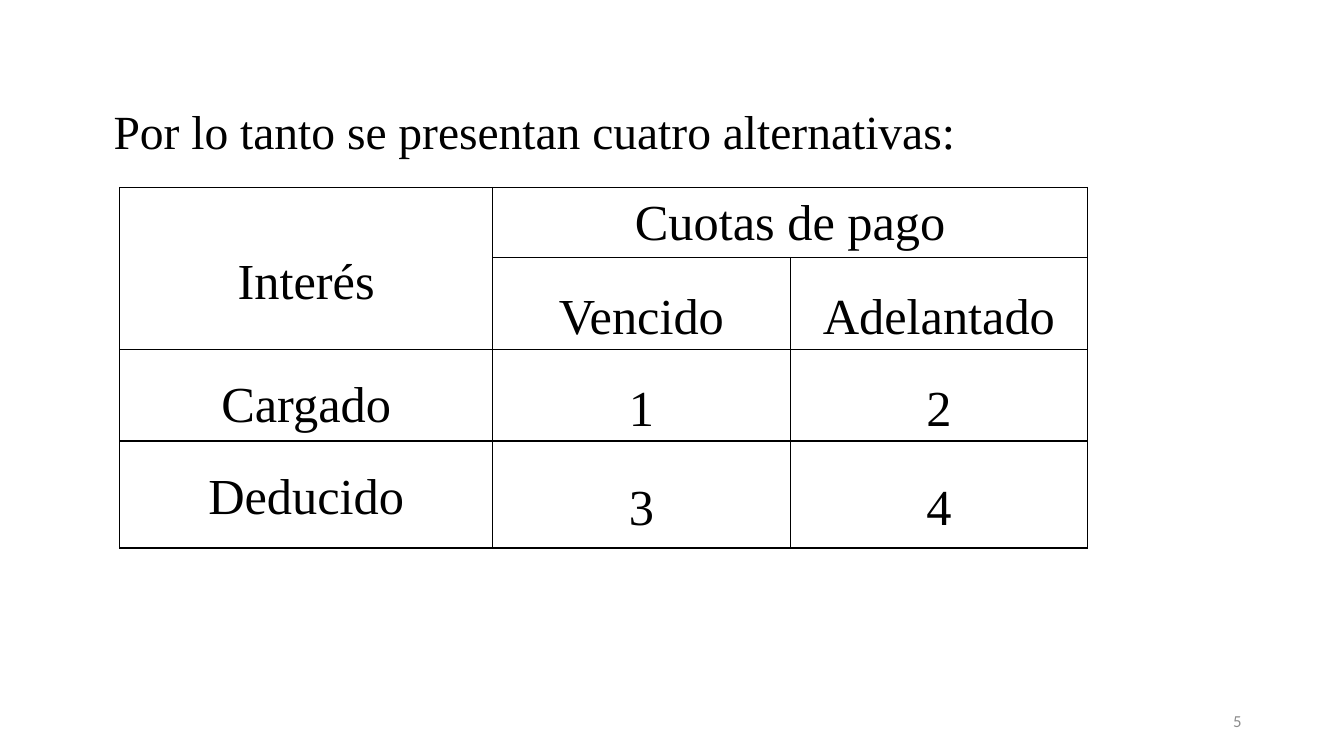
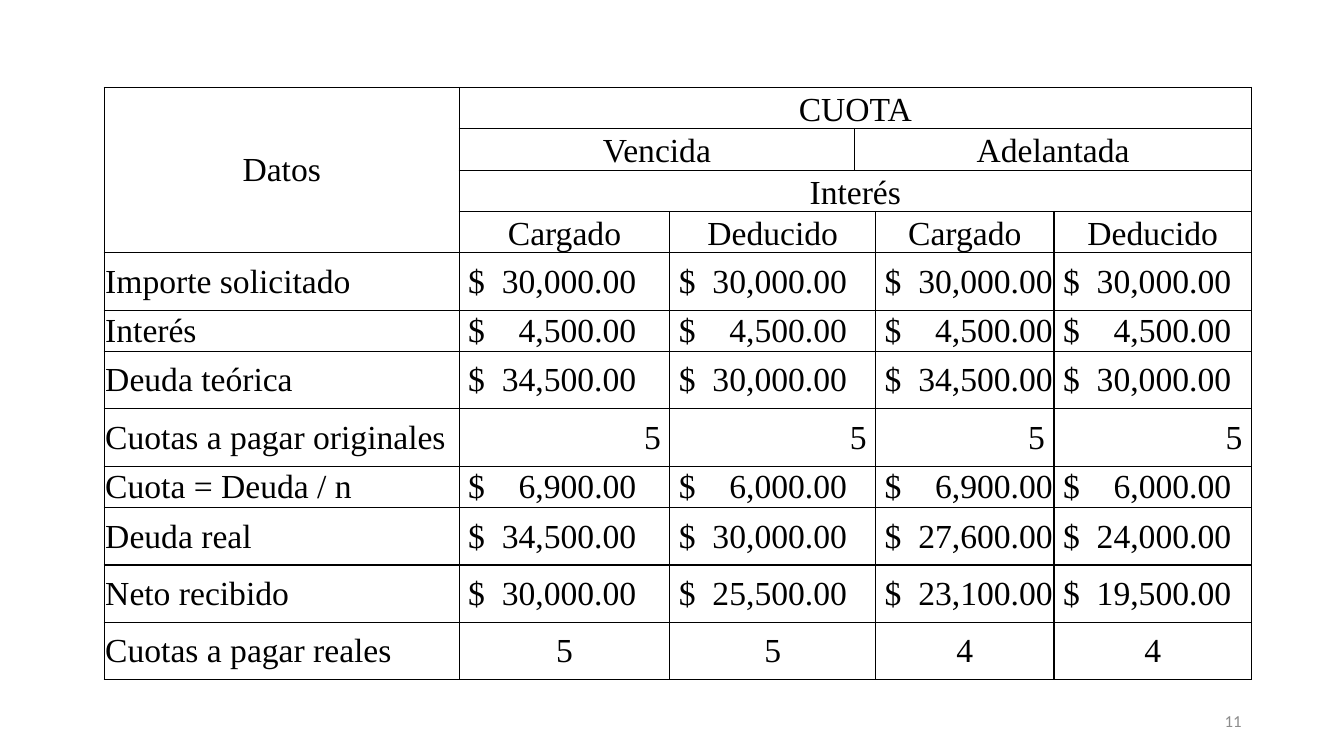
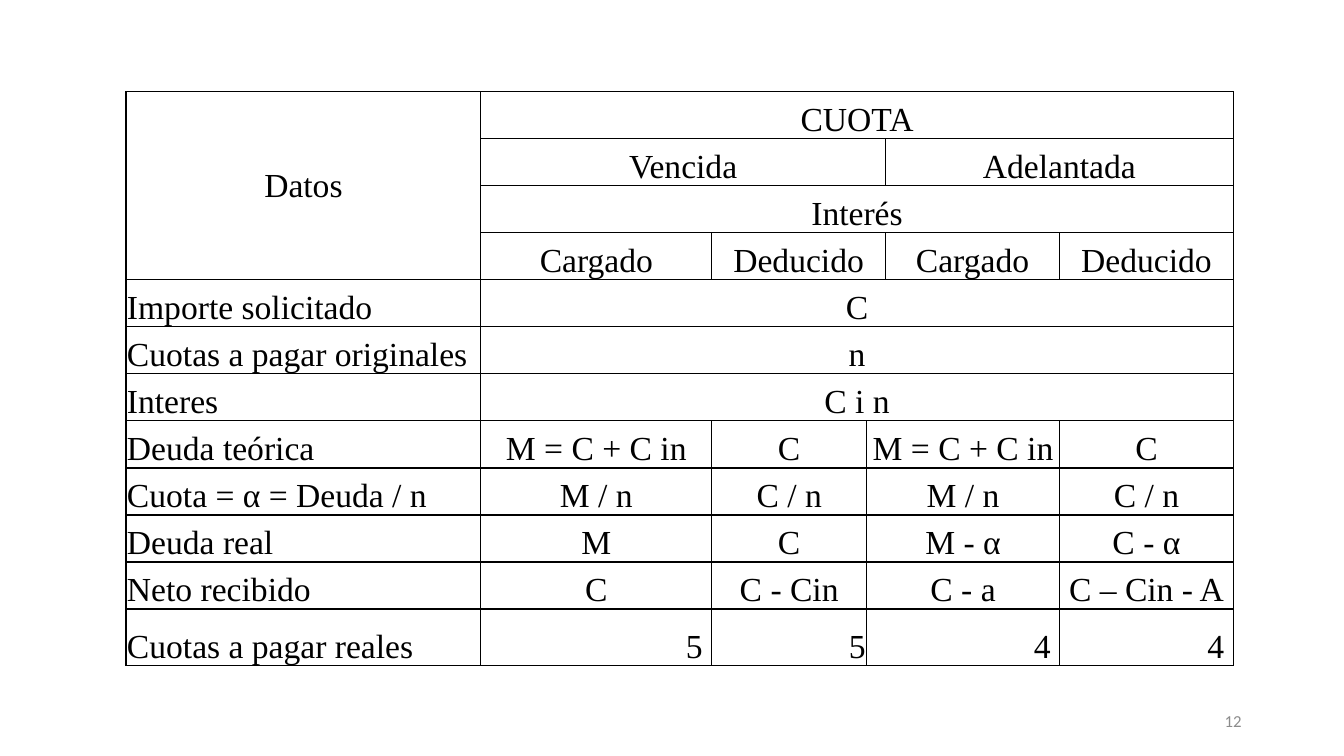
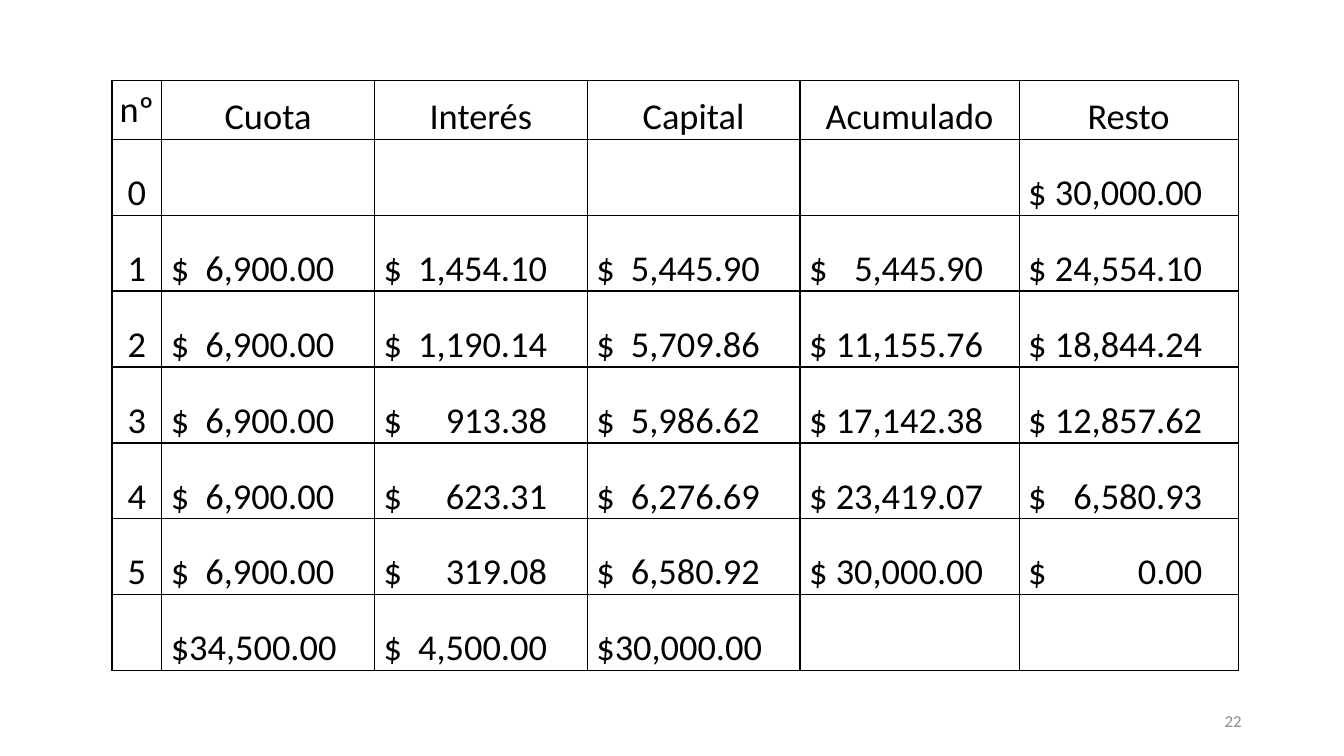
from dataclasses import dataclass

from lxml.etree import SubElement
from pptx import Presentation
from pptx.dml.color import RGBColor
from pptx.enum.text import MSO_ANCHOR as Anchor, PP_ALIGN as Align
from pptx.oxml.ns import qn
from pptx.util import Pt

SERIF, SANS = "Times New Roman", "Calibri"
BLACK, GREY = "000000", "8C8C8C"
LEFT, ABOVE = "<", "^"  # cell joined to the one on its left, or above it
THIN, SPACE = 0.7, 6.5  # cell insets


@dataclass
class CellStyle:
    align: Align = Align.CENTER
    anchor: Anchor = Anchor.BOTTOM
    spacing: float = 1.0
    inset_left: float = THIN
    inset_right: float = THIN
    tab: float = 0


def color(hex_string):
    return RGBColor.from_string(hex_string)


def format_paragraph(paragraph, size, font_name, hex_color, align, spacing=1.0):
    paragraph.alignment = align
    paragraph.line_spacing = spacing
    paragraph.font.size = Pt(size)
    paragraph.font.name = font_name
    paragraph.font.color.rgb = color(hex_color)


def add_text(slide, text, box, size, font_name, hex_color=BLACK,
             align=Align.LEFT, anchor=Anchor.TOP, spacing=1.0):
    shape = slide.shapes.add_textbox(*map(Pt, box))
    frame = shape.text_frame
    frame.word_wrap = True
    frame.vertical_anchor = anchor
    frame.text = text
    format_paragraph(frame.paragraphs[0], size, font_name, hex_color, align, spacing)


def add_numbered_slide(presentation, number):
    slide = presentation.slides.add_slide(presentation.slide_layouts[6])
    add_text(slide, str(number), (678, 500.5, 216, 28.5), 12, SANS, GREY,
             Align.RIGHT, Anchor.MIDDLE)
    return slide


# Table parts

def add_borders(cell):
    properties = cell._tc.get_or_add_tcPr()
    for side in ("a:lnL", "a:lnR", "a:lnT", "a:lnB"):
        line = SubElement(properties, qn(side), w=str(Pt(1)))
        fill = SubElement(line, qn("a:solidFill"))
        SubElement(fill, qn("a:srgbClr"), val=BLACK)


def add_right_tab(paragraph, position):
    tabs = SubElement(paragraph._p.get_or_add_pPr(), qn("a:tabLst"))
    SubElement(tabs, qn("a:tab"), pos=str(Pt(position)), algn="r")


def fill_cell(cell, text, style, size, font_name):
    cell.margin_left, cell.margin_right = Pt(style.inset_left), Pt(style.inset_right)
    cell.margin_top, cell.margin_bottom = Pt(THIN), 0
    cell.vertical_anchor = style.anchor
    cell.text = text
    paragraph = cell.text_frame.paragraphs[0]
    if style.tab:
        add_right_tab(paragraph, style.tab)
    format_paragraph(paragraph, size, font_name, BLACK, style.align, style.spacing)


def count_joined(values, marker):
    count = 0
    for value in values:
        if value != marker:
            break
        count += 1
    return count


def add_grid(slide, position, widths, heights, rows, style_for, size, font_name):
    """Draw rows of text; style_for(row, column, text) gives each cell's style."""
    box = (*position, sum(widths), sum(heights))
    table = slide.shapes.add_table(len(rows), len(widths), *map(Pt, box)).table
    table.first_row = table.horz_banding = False
    for column, width in zip(table.columns, widths):
        column.width = Pt(width)
    for row, height in zip(table.rows, heights):
        row.height = Pt(height)
    for r, texts in enumerate(rows):
        for c, text in enumerate(texts):
            cell = table.cell(r, c)
            add_borders(cell)
            cell.fill.background()
            if text in (LEFT, ABOVE):
                continue
            fill_cell(cell, text, style_for(r, c, text), size, font_name)
            across = count_joined(texts[c + 1:], LEFT)
            down = count_joined([below[c] for below in rows[r + 1:]], ABOVE)
            if across or down:
                cell.merge(table.cell(r + down, c + across))


def money(*amounts):
    return ["$\t" + amount if amount else "" for amount in amounts]


def money_style(anchor, tab):
    return CellStyle(Align.LEFT, anchor, inset_left=SPACE, inset_right=0, tab=tab)


def quota_header(vencida, adelantada, deducido):
    """Four heading rows; the arguments are the cells of the spanning headings."""
    all_columns = [LEFT] * 4
    return [
        ["Datos", "CUOTA", *all_columns],
        [ABOVE, *vencida, *adelantada],
        [ABOVE, "Interés", *all_columns],
        [ABOVE, "Cargado", *deducido, "Cargado", "Deducido"],
    ]


# Slides

def add_alternatives(presentation):
    slide = add_numbered_slide(presentation, 5)
    add_text(slide, "Por lo tanto se presentan cuatro alternativas:",
             (74, 49, 824.5, 70), 34, SERIF, spacing=1.5)
    rows = [
        ["Interés", "Cuotas de pago", LEFT],
        [ABOVE, "Vencido", "Adelantado"],
        ["Cargado", "1", "2"],
        ["Deducido", "3", "4"],
    ]

    def style_for(r, c, text):
        anchor = Anchor.TOP if c == 0 and r > 1 else Anchor.MIDDLE
        return CellStyle(anchor=anchor, spacing=1.0 if (r, c) == (0, 1) else 1.5)

    add_grid(slide, (85.5, 134), [266.5, 212.5, 212.5], [50, 65.5, 65.5, 76.5],
             rows, style_for, 36, SERIF)


def add_quota_amounts(presentation):
    slide = add_numbered_slide(presentation, 11)
    body = [
        ("Importe solicitado", money(*["30,000.00"] * 4)),
        ("Interés", money(*["4,500.00"] * 4)),
        ("Deuda teórica", money(*["34,500.00", "30,000.00"] * 2)),
        ("Cuotas a pagar originales", ["5"] * 4),
        ("Cuota = Deuda / n", money(*["6,900.00", "6,000.00"] * 2)),
        ("Deuda real", money("34,500.00", "30,000.00", "27,600.00", "24,000.00")),
        ("Neto recibido", money("30,000.00", "25,500.00", "23,100.00", "19,500.00")),
        ("Cuotas a pagar reales", ["5", "5", "4", "4"]),
    ]
    rows = quota_header(["Vencida", LEFT], ["Adelantada", LEFT, LEFT],
                        ["Deducido", LEFT])
    rows += [[label, *values[:2], LEFT, *values[2:]] for label, values in body]
    low_rows = (0, 1, 2, 3, 5, 8)
    heights = [29.5 if r in low_rows else 41 for r in range(len(rows))]

    def style_for(r, c, text):
        if r < 4:
            return CellStyle(anchor=Anchor.BOTTOM if c else Anchor.MIDDLE)
        if c == 0:
            return CellStyle(Align.LEFT, Anchor.MIDDLE)
        if "\t" in text:
            return money_style(Anchor.MIDDLE, 120)
        if r == 7:
            return CellStyle(Align.RIGHT, Anchor.MIDDLE, inset_right=SPACE)
        return CellStyle(anchor=Anchor.MIDDLE)

    add_grid(slide, (74.5, 62.5), [253.5, 150.5, 132, 15, 127.5, 141], heights,
             rows, style_for, 24, SERIF)


def add_quota_formulas(presentation):
    slide = add_numbered_slide(presentation, 12)
    shared = [("Importe solicitado", "C"), ("Cuotas a pagar originales", "n"),
              ("Interes", "C i n")]
    separate = [
        ("Deuda teórica", ["M = C + C in", "C"] * 2),
        ("Cuota = α = Deuda / n", ["M / n", "C / n"] * 2),
        ("Deuda real", ["M", "C", "M - α", "C - α"]),
        ("Neto recibido", ["C", "C - Cin", "C - a", "C – Cin - A"]),
        ("Cuotas a pagar reales", ["5", "5", "4", "4"]),
    ]
    rows = quota_header(["Vencida", LEFT, LEFT], ["Adelantada", LEFT],
                        ["Deducido", LEFT])
    rows += [[label, value] + [LEFT] * 4 for label, value in shared]
    rows += [[label, *values[:3], LEFT, values[3]] for label, values in separate]

    def style_for(r, c, text):
        if c == 0:
            return CellStyle(Align.LEFT) if r else CellStyle(anchor=Anchor.MIDDLE)
        if r == 11:
            return CellStyle(Align.RIGHT, inset_right=THIN if c == 2 else SPACE)
        return CellStyle()

    add_grid(slide, (90, 65.5), [253.5, 165, 110.5, 13.5, 124.5, 124],
             [33.6] * 11 + [40.3], rows, style_for, 24, SERIF)


def add_payment_schedule(presentation):
    slide = add_numbered_slide(presentation, 22)
    rows = [
        ["nº", "Cuota", "Interés", "Capital", "Acumulado", "Resto"],
        ["0", *money("", "", "", "", "30,000.00")],
        ["1", *money("6,900.00", "1,454.10", "5,445.90", "5,445.90", "24,554.10")],
        ["2", *money("6,900.00", "1,190.14", "5,709.86", "11,155.76", "18,844.24")],
        ["3", *money("6,900.00", "913.38", "5,986.62", "17,142.38", "12,857.62")],
        ["4", *money("6,900.00", "623.31", "6,276.69", "23,419.07", "6,580.93")],
        ["5", *money("6,900.00", "319.08", "6,580.92", "30,000.00", "0.00")],
        ["", "$34,500.00", *money("4,500.00"), "$30,000.00", "", ""],
    ]

    def style_for(r, c, text):
        if r == 0 or c == 0:
            return CellStyle(anchor=Anchor.BOTTOM if r or c else Anchor.MIDDLE)
        return money_style(Anchor.BOTTOM, 117 if c < 4 else 124.5)

    add_grid(slide, (80, 57.5), [35.5] + [152] * 3 + [156.5] * 2,
             [42] + [54.25] * 7, rows, style_for, 26, SANS)


def main():
    presentation = Presentation()
    presentation.slide_width, presentation.slide_height = Pt(960), Pt(540)
    add_alternatives(presentation)
    add_quota_amounts(presentation)
    add_quota_formulas(presentation)
    add_payment_schedule(presentation)
    presentation.save("out.pptx")


if __name__ == "__main__":
    main()
